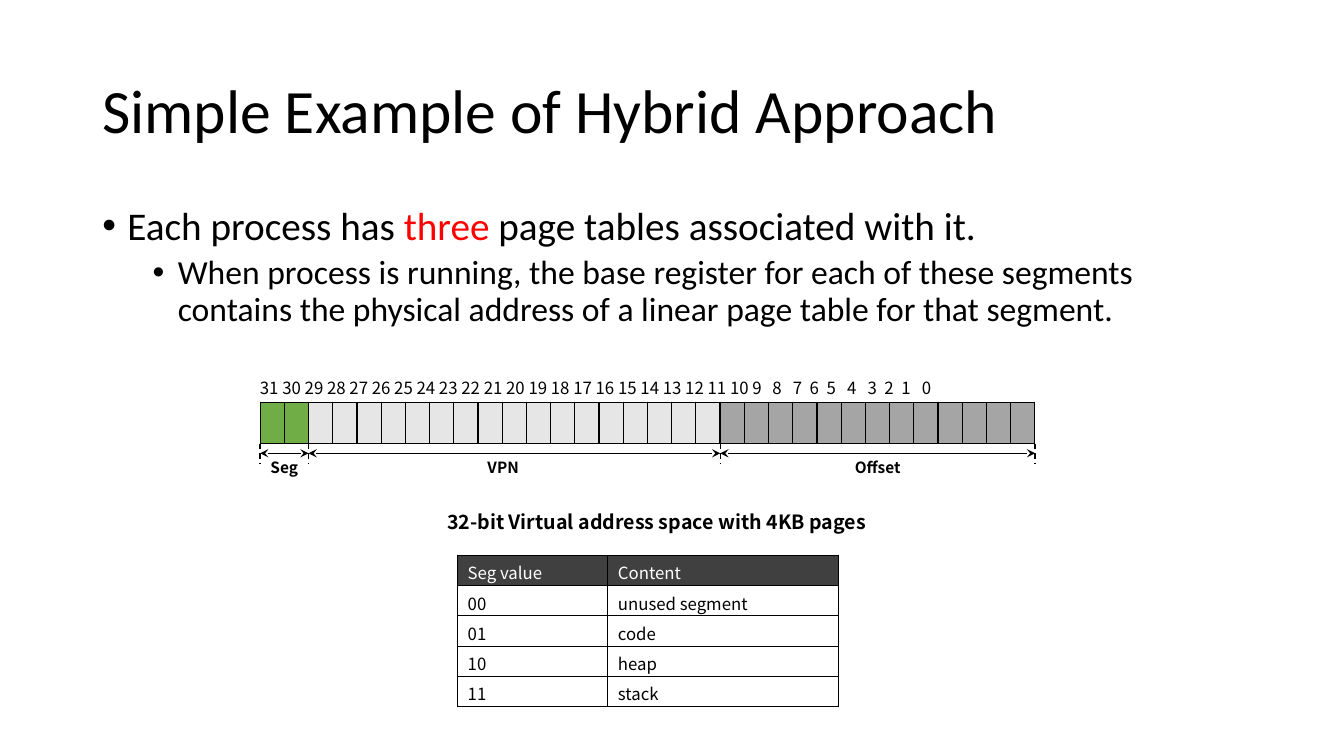
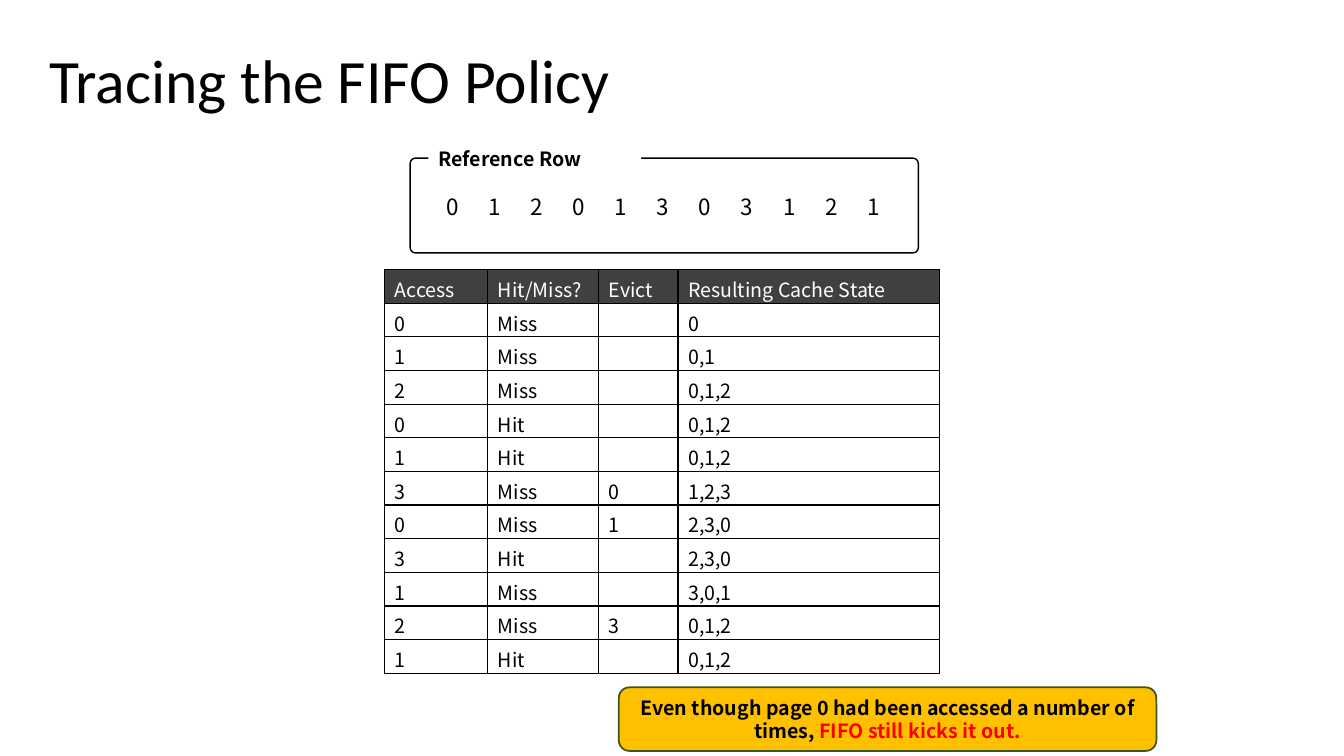
from collections import namedtuple
from dataclasses import dataclass
from itertools import accumulate

from lxml.etree import SubElement
from pptx import Presentation
from pptx.dml.color import RGBColor
from pptx.enum.dml import MSO_LINE
from pptx.enum.shapes import MSO_CONNECTOR, MSO_SHAPE
from pptx.enum.text import MSO_ANCHOR, MSO_AUTO_SIZE, PP_ALIGN
from pptx.oxml import parse_xml
from pptx.oxml.ns import nsdecls, qn
from pptx.util import Pt

Box = namedtuple("Box", "left top width height")
Field = namedtuple("Field", "name bits color label_shift")


@dataclass(frozen=True)
class Theme:
    """Colours, fonts and type sizes shared by the slides."""

    black: str = "000000"
    white: str = "FFFFFF"
    red: str = "FF0000"
    green: str = "70AD47"
    light: str = "E7E6E6"
    gray: str = "A5A5A5"
    header: str = "404040"
    callout: str = "FFC000"
    callout_line: str = "385723"
    heading_font: str = "Calibri"
    figure_font: str = "Noto Sans CJK KR"
    title_size: float = 44
    body_size: float = 28
    detail_size: float = 24
    digit_size: float = 16
    caption_size: float = 14
    small_size: float = 12
    label_size: float = 11
    line_width: float = 1


THEME = Theme()

FIELDS = [
    Field("Seg", 2, THEME.green, 0),
    Field("VPN", 17, THEME.light, -8),
    Field("Offset", 13, THEME.gray, 0),
]

SEGMENT_ROWS = [
    ("Seg value", "Content"),
    ("00", "unused segment"),
    ("01", "code"),
    ("10", "heap"),
    ("11", "stack"),
]

TRACE_ROWS = [
    ("Access", "Hit/Miss?", "Evict", "Resulting Cache State"),
    ("0", "Miss", "", "0"),
    ("1", "Miss", "", "0,1"),
    ("2", "Miss", "", "0,1,2"),
    ("0", "Hit", "", "0,1,2"),
    ("1", "Hit", "", "0,1,2"),
    ("3", "Miss", "0", "1,2,3"),
    ("0", "Miss", "1", "2,3,0"),
    ("3", "Hit", "", "2,3,0"),
    ("1", "Miss", "", "3,0,1"),
    ("2", "Miss", "3", "0,1,2"),
    ("1", "Hit", "", "0,1,2"),
]


def points(box):
    """Turn a box into lengths for python-pptx."""
    return [Pt(value) for value in box]


def style_runs(paragraph, size, color=THEME.black, font=THEME.figure_font, bold=False):
    """Format every run of a paragraph alike."""
    for run in paragraph.runs:
        run.font.name = font
        run.font.size = Pt(size)
        run.font.bold = bold
        run.font.color.rgb = RGBColor.from_string(color)


def write_highlighted(paragraph, pieces, highlight, **style):
    """Write the pieces as runs and colour the one at the highlight index."""
    for piece in pieces:
        paragraph.add_run().text = piece
    style_runs(paragraph, **style)
    paragraph.runs[highlight].font.color.rgb = RGBColor.from_string(THEME.red)


def add_text(slide, box, text, size, bold=False, align=PP_ALIGN.CENTER):
    """Add a one-paragraph text box and return it."""
    shape = slide.shapes.add_textbox(*points(box))
    shape.text_frame.word_wrap = True
    shape.text_frame.text = text
    paragraph = shape.text_frame.paragraphs[0]
    paragraph.alignment = align
    style_runs(paragraph, size, bold=bold)
    return shape


def add_line(slide, start, end, dashed=False, arrows=False):
    """Draw a thin black line, dashed or with arrowheads on demand."""
    connector = slide.shapes.add_connector(
        MSO_CONNECTOR.STRAIGHT, *points(start + end))
    connector.line.width = Pt(THEME.line_width)
    connector.line.color.rgb = RGBColor.from_string(THEME.black)
    if dashed:
        connector.line.dash_style = MSO_LINE.DASH
    if arrows:
        for end_tag in ("a:headEnd", "a:tailEnd"):
            SubElement(connector.line._ln, qn(end_tag), type="stealth")
    SubElement(connector._element.spPr, qn("a:effectLst"))


def add_round_box(slide, box, fill, line, width):
    """Add a flat rounded rectangle."""
    shape = slide.shapes.add_shape(MSO_SHAPE.ROUNDED_RECTANGLE, *points(box))
    shape.shadow.inherit = False
    shape.fill.solid()
    shape.fill.fore_color.rgb = RGBColor.from_string(fill)
    shape.line.color.rgb = RGBColor.from_string(line)
    shape.line.width = Pt(width)
    return shape


def style_cell(cell, fill):
    """Give a cell its fill and a black border on all sides."""
    cell.fill.solid()
    cell.fill.fore_color.rgb = RGBColor.from_string(fill)
    properties = cell._tc.get_or_add_tcPr()
    for index, side in enumerate("LRTB"):
        properties.insert(index, parse_xml(
            f'<a:ln{side} {nsdecls("a")} w="{Pt(THEME.line_width)}"><a:solidFill>'
            f'<a:srgbClr val="{THEME.black}"/></a:solidFill></a:ln{side}>'))


def add_plain_table(slide, box, row_count, widths):
    """Add a table without banding and return it."""
    table = slide.shapes.add_table(row_count, len(widths), *points(box)).table
    table.first_row = table.horz_banding = False
    for column, width in zip(table.columns, widths):
        column.width = Pt(width)
    for row in table.rows:
        row.height = Pt(box.height / row_count)
    return table


def add_text_table(slide, box, rows, widths, size):
    """Add a table of text with a dark header row."""
    table = add_plain_table(slide, box, len(rows), widths)
    for row_index, row in enumerate(rows):
        fill, color = ((THEME.white, THEME.black) if row_index
                       else (THEME.header, THEME.white))
        for column_index, text in enumerate(row):
            cell = table.cell(row_index, column_index)
            style_cell(cell, fill)
            cell.margin_bottom = Pt(0)
            paragraph = cell.text_frame.paragraphs[0]
            if text:
                paragraph.text = text
                style_runs(paragraph, size, color)
            else:
                paragraph._p.get_or_add_endParaRPr().set("sz", str(size * 100))


def add_titled_slide(presentation, title, box):
    """Add a title-only slide and place its title."""
    slide = presentation.slides.add_slide(presentation.slide_layouts[5])
    shape = slide.shapes.title
    shape.left, shape.top, shape.width, shape.height = points(box)
    frame = shape.text_frame
    frame.text = title
    frame.auto_size = MSO_AUTO_SIZE.NONE
    frame.vertical_anchor = MSO_ANCHOR.MIDDLE
    paragraph = frame.paragraphs[0]
    paragraph.alignment = PP_ALIGN.LEFT
    paragraph.line_spacing = 0.9
    style_runs(paragraph, THEME.title_size, font=THEME.heading_font)
    return slide


def set_bullet(paragraph, indent):
    """Give a paragraph a round bullet hanging left of its indent."""
    properties = paragraph._p.get_or_add_pPr()
    properties.set("marL", str(Pt(indent)))
    properties.set("indent", str(Pt(-18)))
    SubElement(properties, qn("a:buFont"), typeface="Arial")
    SubElement(properties, qn("a:buChar"), char="•")
    paragraph.line_spacing = 0.9


def add_body(slide, box):
    """Write the two bullet levels on page tables."""
    frame = slide.shapes.add_textbox(*points(box)).text_frame
    frame.word_wrap = True
    main = frame.paragraphs[0]
    set_bullet(main, 18)
    write_highlighted(
        main, ["Each process has ", "three", " page tables associated with it."], 1,
        size=THEME.body_size, font=THEME.heading_font)
    detail = frame.add_paragraph()
    detail.level = 1
    set_bullet(detail, 54)
    detail.space_before = Pt(5)
    detail.text = ("When process is running, the base register for each of these segments "
                   "contains the physical address of a linear page table for that segment.")
    style_runs(detail, THEME.detail_size, font=THEME.heading_font)


def add_bit_numbers(slide, box):
    """Write the bit numbers, with tab stops for the loosely set low bits."""
    low_bits = range(8, -1, -1)
    text = "\t".join([" ".join(str(bit) for bit in range(31, 8, -1)), *map(str, low_bits)])
    shape = add_text(slide, box, text, THEME.small_size, align=PP_ALIGN.LEFT)
    paragraph = shape.text_frame.paragraphs[0]
    tabs = SubElement(paragraph._p.get_or_add_pPr(), qn("a:tabLst"))
    wide, narrow = 14.7, 12
    for stop in accumulate([366, wide, narrow, narrow, wide, wide, narrow, narrow, wide]):
        SubElement(tabs, qn("a:tab"), pos=str(Pt(stop)), algn="l")


def add_address_diagram(slide, box):
    """Draw the address bits with the extent of each field below."""
    bit_count = sum(field.bits for field in FIELDS)
    bit_width = box.width / bit_count
    bottom = box.top + box.height
    arrow_y = bottom + 7
    table = add_plain_table(slide, box, 1, [bit_width] * bit_count)
    add_bit_numbers(slide, Box(box.left - 7.2, box.top - 21, 573, 21.6))
    add_line(slide, (box.left, bottom), (box.left, bottom + 14), dashed=True)
    first_bit = 0
    for field in FIELDS:
        for bit in range(first_bit, first_bit + field.bits):
            style_cell(table.cell(0, bit), field.color)
        start = box.left + first_bit * bit_width
        first_bit += field.bits
        end = box.left + first_bit * bit_width
        add_line(slide, (end, bottom), (end, bottom + 14), dashed=True)
        add_line(slide, (start, arrow_y), (end, arrow_y), arrows=True)
        center = (start + end) / 2 + field.label_shift
        add_text(slide, Box(center - 25.5, arrow_y, 51, 21), field.name,
                 THEME.label_size, bold=True)


def add_reference_row(slide, box):
    """Frame the page references under a heading that breaks the frame."""
    frame = add_round_box(slide, box, THEME.white, THEME.black, THEME.line_width)
    frame.adjustments[0] = 0.056
    heading = add_text(slide, Box(box.left + 13, box.top - 11.5, 152, 24.5),
                       "Reference Row", THEME.caption_size, True, PP_ALIGN.LEFT)
    heading.fill.solid()
    heading.fill.fore_color.rgb = RGBColor.from_string(THEME.white)
    for index, (page, *_) in enumerate(TRACE_ROWS[1:]):
        digit = add_text(slide, Box(box.left + 13 + index * 30.1, box.top + 21, 34, 26.6),
                         page, THEME.digit_size)
        digit.text_frame.margin_left = digit.text_frame.margin_right = Pt(0)
        digit.text_frame.vertical_anchor = MSO_ANCHOR.MIDDLE


def add_callout(slide, box):
    """Add the remark on the weakness of FIFO."""
    shape = add_round_box(slide, box, THEME.callout, THEME.callout_line, 1.25)
    frame = shape.text_frame
    frame.word_wrap = True
    frame.vertical_anchor = MSO_ANCHOR.MIDDLE
    frame.margin_left = frame.margin_right = Pt(8.6)
    paragraph = frame.paragraphs[0]
    paragraph.alignment = PP_ALIGN.CENTER
    write_highlighted(
        paragraph, ["Even though page 0 had been accessed a number of times, ",
                    "FIFO still kicks it out."], 1, size=THEME.caption_size, bold=True)


def build_hybrid_slide(presentation):
    """Build the slide on segmentation combined with paging."""
    slide = add_titled_slide(presentation, "Simple Example of Hybrid Approach",
                             Box(66, 28.8, 828, 104.4))
    add_body(slide, Box(66, 144, 828, 100))
    add_address_diagram(slide, Box(185.8, 287.3, 553.6, 29.5))
    add_text(slide, Box(310.3, 360.7, 317.5, 24.5),
             "32-bit Virtual address space with 4KB pages", THEME.caption_size, bold=True)
    add_text_table(slide, Box(326.9, 396.7, 272.2, 108), SEGMENT_ROWS,
                   [107.3, 164.9], THEME.small_size)


def build_fifo_slide(presentation):
    """Build the slide that traces FIFO eviction."""
    slide = add_titled_slide(presentation, "Tracing the FIFO Policy",
                             Box(28, 7.2, 828, 104.4))
    add_reference_row(slide, Box(293, 113, 363, 67.7))
    add_text_table(slide, Box(274.8, 192.5, 396.6, 288.6), TRACE_ROWS,
                   [73.6, 79.2, 56.8, 187], THEME.caption_size)
    add_callout(slide, Box(442, 491, 384, 45.4))


def main():
    """Build and save the presentation."""
    presentation = Presentation()
    presentation.slide_width, presentation.slide_height = Pt(960), Pt(540)
    build_hybrid_slide(presentation)
    build_fifo_slide(presentation)
    presentation.save("out.pptx")


if __name__ == "__main__":
    main()
